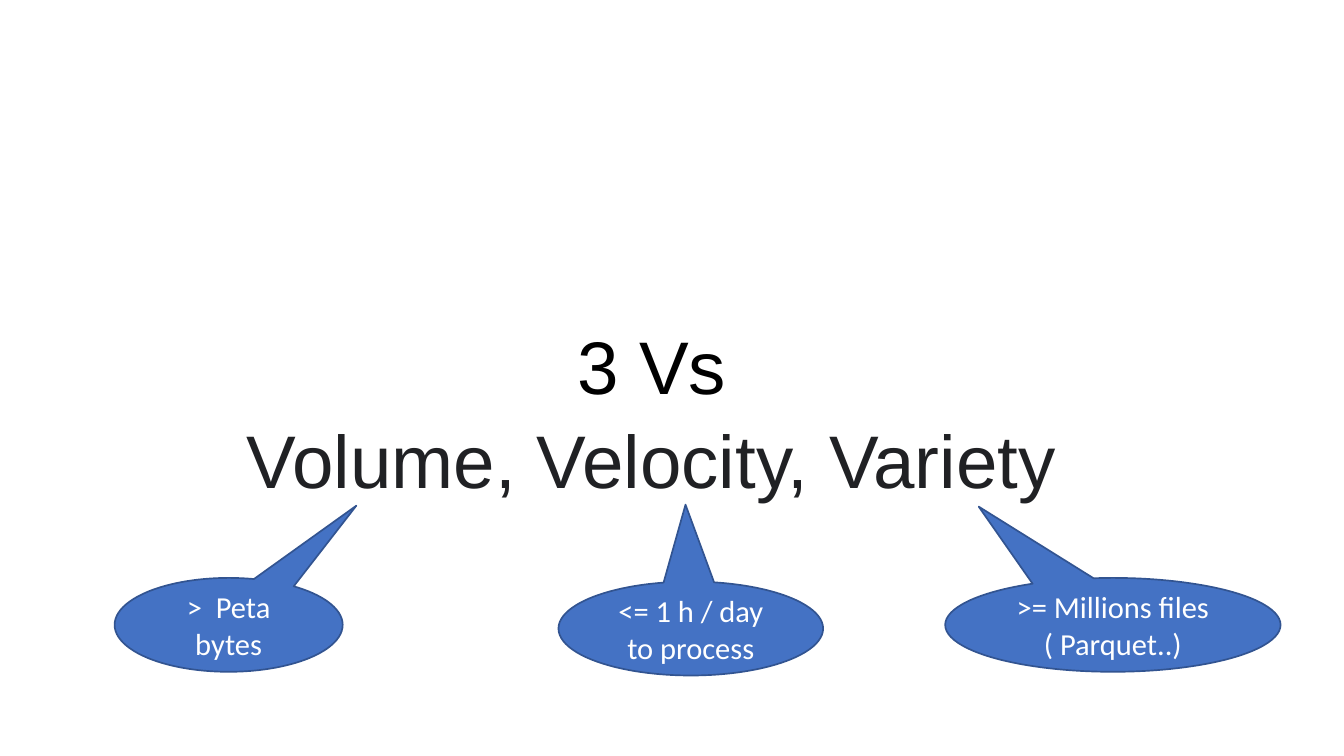
from dataclasses import dataclass

from pptx import Presentation
from pptx.dml.color import RGBColor
from pptx.enum.shapes import MSO_SHAPE
from pptx.enum.text import MSO_ANCHOR, MSO_AUTO_SIZE, PP_ALIGN
from pptx.util import Inches, Pt

CALLOUT = MSO_SHAPE.OVAL_CALLOUT
MIDDLE = MSO_ANCHOR.MIDDLE
NO_AUTOFIT = MSO_AUTO_SIZE.NONE
CENTER = PP_ALIGN.CENTER
TITLE_ONLY = 5


@dataclass(frozen=True)
class Theme:
    title_font: str = "Arial"
    callout_font: str = "Calibri"
    title_size: int = 44
    callout_size: int = 18
    black: str = "000000"
    charcoal: str = "202124"
    blue: str = "4472C4"
    outline: str = "325491"
    white: str = "FFFFFF"


theme = Theme()


def write_lines(frame, lines, font_name, size, line_spacing):
    """Fill the frame with one centred paragraph per (text, colour) pair."""
    frame.word_wrap = True
    frame.auto_size = NO_AUTOFIT
    frame.vertical_anchor = MIDDLE
    for index, (text, color) in enumerate(lines):
        paragraph = frame.add_paragraph() if index else frame.paragraphs[0]
        paragraph.alignment = CENTER
        paragraph.line_spacing = line_spacing
        run = paragraph.add_run()
        run.text = text
        for name, value in {"name": font_name, "size": Pt(size)}.items():
            setattr(run.font, name, value)
        run.font.color.rgb = RGBColor.from_string(color)


presentation = Presentation()
presentation.slide_width = Inches(11.02)
presentation.slide_height = Inches(6.2)
slide = presentation.slides.add_slide(presentation.slide_layouts[TITLE_ONLY])

title = slide.shapes.title
title_box = {"left": 0.28, "top": 1.58, "width": 10.13, "height": 3.55}
for side, length in title_box.items():
    setattr(title, side, Inches(length))
for side in ("left", "top", "right", "bottom"):
    setattr(title.text_frame, f"margin_{side}", 0)
title_lines = [("3 Vs", theme.black), ("Volume, Velocity, Variety", theme.charcoal)]
write_lines(title.text_frame, title_lines, theme.title_font, theme.title_size, 1.05)

# left, top, width, pointer tip relative to the centre, lines
callouts = [
    (0.94, 4.74, 1.87, (0.56, -1.27), [">  Peta bytes"]),
    (4.58, 4.77, 2.17, (-0.02, -1.32), ["<= 1 h / day to process"]),
    (7.75, 4.74, 2.75, (-0.4, -1.26), [">= Millions files", "( Parquet..)"]),
]
for left, top, width, pointer, lines in callouts:
    callout = slide.shapes.add_shape(
        CALLOUT, Inches(left), Inches(top), Inches(width), Inches(0.77)
    )
    callout.shadow.inherit = False
    for index, offset in enumerate(pointer):
        callout.adjustments[index] = offset
    callout.fill.solid()
    callout.fill.fore_color.rgb = RGBColor.from_string(theme.blue)
    callout.line.color.rgb = RGBColor.from_string(theme.outline)
    callout.line.width = Pt(1)
    callout_lines = [(line, theme.white) for line in lines]
    write_lines(
        callout.text_frame, callout_lines, theme.callout_font, theme.callout_size, 1.0
    )

presentation.save("out.pptx")
